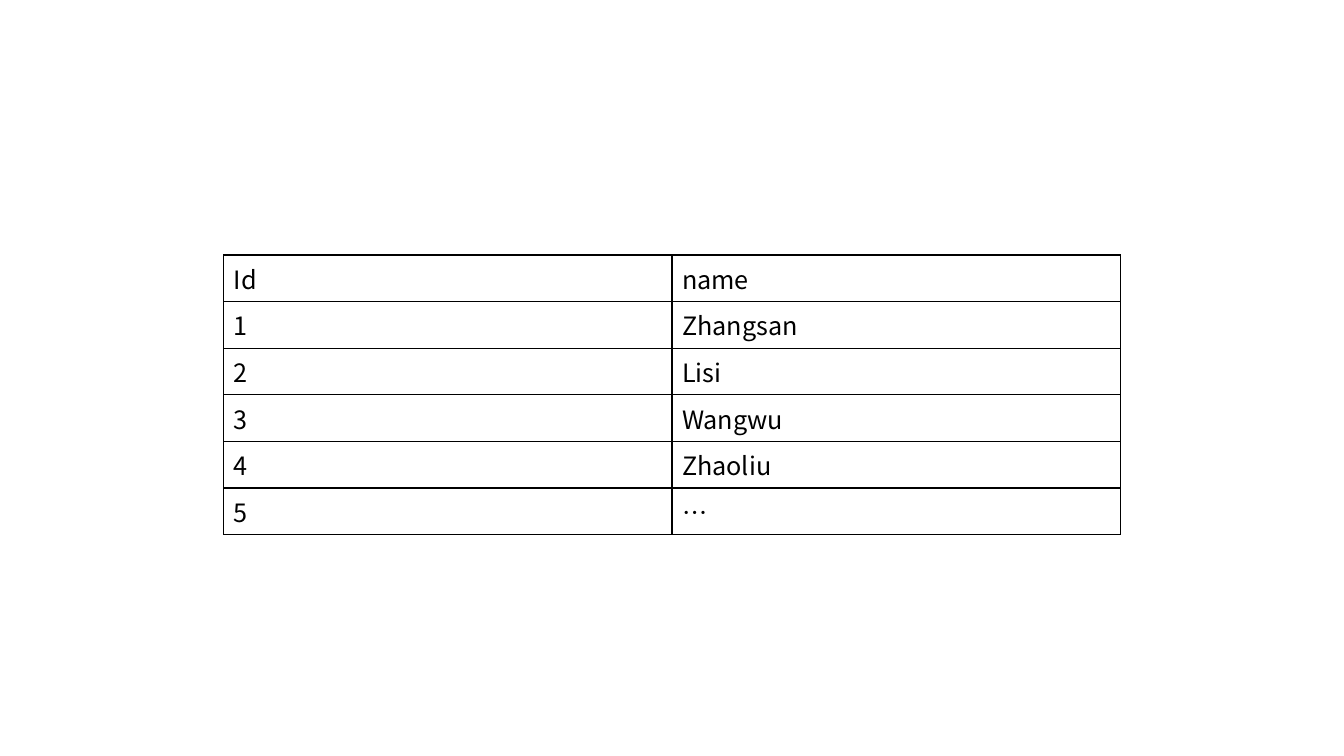
from dataclasses import dataclass

from pptx import Presentation
from pptx.dml.color import RGBColor
from pptx.oxml import ns, xmlchemy as x
from pptx.util import Inches, Pt


@dataclass(frozen=True)
class Theme:
    font: str = "Noto Sans CJK SC"
    size: int = 18
    ink: str = "000000"
    paper: str = "FFFFFF"
    border: float = 1


THEME = Theme()
PEOPLE = [
    ("Id", "name"),
    ("1", "Zhangsan"),
    ("2", "Lisi"),
    ("3", "Wangwu"),
    ("4", "Zhaoliu"),
    ("5", "…"),
]


def add_child(parent, tag, **attrs):
    child = x.OxmlElement(tag)
    for name, value in attrs.items():
        child.set(name, str(value))
    parent.append(child)
    return child


def set_borders(cell):
    tcPr = cell._tc.get_or_add_tcPr()
    for side in "LRTB":
        ln = add_child(tcPr, f"a:ln{side}", w=Pt(THEME.border))
        fill = add_child(ln, "a:solidFill")
        add_child(fill, "a:srgbClr", val=THEME.ink)


def write_cell(cell, value):
    cell.text = value
    p = cell.text_frame.paragraphs[0]
    p.font.name = THEME.font
    p.font.size = Pt(THEME.size)
    p.font.color.rgb = RGBColor.from_string(THEME.ink)
    latin = p.font._element.find(ns.qn("a:latin"))
    ea = x.OxmlElement("a:ea")
    ea.set("typeface", THEME.font)
    latin.addnext(ea)
    set_borders(cell)
    cell.fill.solid()
    cell.fill.fore_color.rgb = RGBColor.from_string(THEME.paper)


def add_grid(s, rows, left, top, width, height):
    table = s.shapes.add_table(
        len(rows), len(rows[0]),
        Inches(left), Inches(top), Inches(width), Inches(height),
    ).table
    table.first_row = False
    table.horz_banding = False
    for r, values in enumerate(rows):
        for c, value in enumerate(values):
            write_cell(table.cell(r, c), value)


def main():
    prs = Presentation()
    prs.slide_width = Inches(13.33)
    prs.slide_height = Inches(7.5)
    s = prs.slides.add_slide(prs.slide_layouts[6])
    add_grid(s, PEOPLE, 2.22, 2.53, 8.89, 2.43)
    prs.save("out.pptx")


if __name__ == "__main__":
    main()
